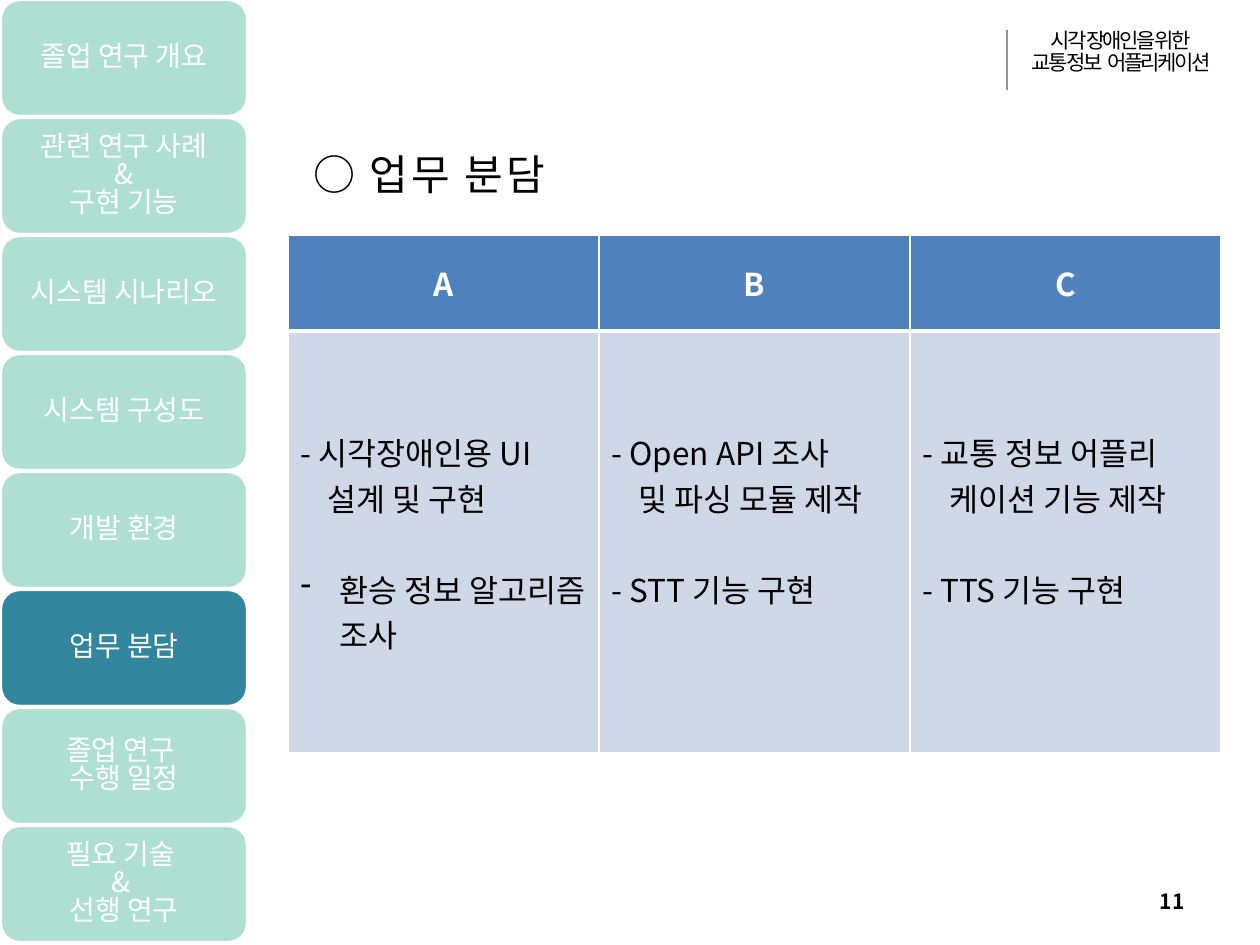
from lxml.etree import SubElement
from pptx import Presentation
from pptx.dml.color import RGBColor
from pptx.enum.shapes import MSO_CONNECTOR, MSO_SHAPE
from pptx.enum.text import MSO_ANCHOR as Anchor, PP_ALIGN as Align
from pptx.oxml import parse_xml
from pptx.oxml.ns import nsdecls, qn
from pptx.util import Pt

PX = 914400 // 126
FONT = "Noto Sans CJK KR"
WHITE, BLACK = "FFFFFF", "000000"
MINT, TEAL = "AFDFD0", "31859C"
HEADER_BLUE, BODY_BLUE = "4F81BD", "D0D8E8"

SECTIONS = [
    "졸업 연구 개요",
    "관련 연구 사례\n&\n구현 기능",
    "시스템 시나리오",
    "시스템 구성도",
    "개발 환경",
    "업무 분담",
    "졸업 연구 \n수행 일정",
    "필요 기술 \n& \n선행 연구",
]
CURRENT_SECTION = "업무 분담"

# Each line of a task list: text, left indent, first-line offset, starts a new item
TASKS = {
    "A": [("- 시각장애인용 UI", 0, 0, False), ("설계 및 구현", 27, 0, False),
          ("환승 정보 알고리즘 조사", 39, -39, True)],
    "B": [("- Open API 조사", 0, 0, False), ("및 파싱 모듈 제작", 27, 0, False),
          ("- STT 기능 구현", 0, 0, True)],
    "C": [("- 교통 정보 어플리", 0, 0, False), ("케이션 기능 제작", 27, 0, False),
          ("- TTS 기능 구현", 0, 0, True)],
}


def px(*lengths):
    return [length * PX for length in lengths]


def rgb(code):
    return RGBColor.from_string(code)


def add_run(paragraph, text, size, color=BLACK, bold=False, tracking=0):
    """Add one run; tracking is in hundredths of a point."""
    run = paragraph.add_run()
    run.text = text
    font = run.font
    font.size, font.bold = Pt(size), bold
    font.color.rgb = rgb(color)
    font.name = FONT
    properties = run._r.get_or_add_rPr()
    SubElement(properties, qn("a:ea")).set("typeface", FONT)
    if tracking:
        properties.set("spc", str(tracking))


def add_text_frame(slide, box, anchor):
    frame = slide.shapes.add_textbox(*px(*box)).text_frame
    frame.word_wrap = True
    frame.vertical_anchor = anchor
    return frame


def add_sidebar(slide, left, top, width, pitch):
    for index, section in enumerate(SECTIONS):
        tab = slide.shapes.add_shape(
            MSO_SHAPE.FLOWCHART_ALTERNATE_PROCESS,
            *px(left, top + index * pitch, width, pitch))
        tab.shadow.inherit = False
        tab.fill.solid()
        tab.fill.fore_color.rgb = rgb(TEAL if section == CURRENT_SECTION else MINT)
        tab.line.color.rgb = rgb(WHITE)
        tab.line.width = Pt(2.5)
        frame = tab.text_frame
        frame.word_wrap = True
        frame.vertical_anchor = Anchor.MIDDLE
        label = frame.paragraphs[0]
        label.alignment = Align.CENTER
        label.line_spacing = 0.83
        for number, line in enumerate(section.split("\n")):
            if number:
                label.add_line_break()
            add_run(label, line, 16, WHITE)


def add_project_name(slide, left, top, width, height):
    frame = add_text_frame(slide, (left, top, width, height), Anchor.TOP)
    lines = [[("시각 장애인을 위한", -150)],
             [("교통 정보", -150), (" ", -30), ("어플리케이션", -150)]]
    for number, line in enumerate(lines):
        paragraph = frame.add_paragraph() if number else frame.paragraphs[0]
        paragraph.alignment = Align.CENTER
        paragraph.line_spacing = 0.86
        for text, tracking in line:
            add_run(paragraph, text, 12, tracking=tracking)

    x, y1, y2 = px(left, top + 5, top + 65)
    rule = slide.shapes.add_connector(MSO_CONNECTOR.STRAIGHT, x, y1, x, y2)
    rule.line.color.rgb = rgb(BLACK)
    rule.line.width = Pt(0.75)
    properties = rule._element.spPr
    color = properties.find(".//" + qn("a:srgbClr"))
    SubElement(color, qn("a:alpha")).set("val", "66000")
    SubElement(properties, qn("a:effectLst"))


def add_title(slide, *box):
    title = add_text_frame(slide, box, Anchor.MIDDLE).paragraphs[0]
    for text, tracking in [("○", -150), (" ", 240), ("업 무", -150),
                           (" ", 240), ("분 담", -150)]:
        add_run(title, text, 24, tracking=tracking)


def style_cell(cell, fill, top=1, bottom=1):
    """Fill a cell and give it white borders, with widths in points."""
    cell.fill.solid()
    cell.fill.fore_color.rgb = rgb(fill)
    properties = cell._tc.get_or_add_tcPr()
    borders = [("L", 1), ("R", 1), ("T", top), ("B", bottom)]
    for position, (side, width) in enumerate(borders):
        properties.insert(position, parse_xml(
            f'<a:ln{side} {nsdecls("a")} w="{Pt(width)}"><a:solidFill>'
            f'<a:srgbClr val="{WHITE}"/></a:solidFill></a:ln{side}>'))


def add_task_table(slide, left, top, column_width, header_height, body_height):
    box = px(left, top, column_width * len(TASKS), header_height + body_height)
    table = slide.shapes.add_table(2, len(TASKS), *box).table
    table.first_row = table.horz_banding = False
    table.rows[0].height, table.rows[1].height = px(header_height, body_height)
    for column, (member, tasks) in enumerate(TASKS.items()):
        table.columns[column].width = column_width * PX
        header, body = table.cell(0, column), table.cell(1, column)
        style_cell(header, HEADER_BLUE, bottom=3)
        header.vertical_anchor = Anchor.MIDDLE
        heading = header.text_frame.paragraphs[0]
        heading.alignment = Align.CENTER
        add_run(heading, member, 18, WHITE, bold=True)

        style_cell(body, BODY_BLUE, top=3)
        body.margin_top = 98 * PX
        for number, (text, indent, offset, new_item) in enumerate(tasks):
            frame = body.text_frame
            line = frame.add_paragraph() if number else frame.paragraphs[0]
            if new_item:
                line.space_before = Pt(26)
            properties = line._p.get_or_add_pPr()
            properties.set("marL", str(indent * PX))
            properties.set("indent", str(offset * PX))
            if offset:
                SubElement(properties, qn("a:buChar")).set("char", "-")
            add_run(line, text, 18)


def add_page_number(slide, *box):
    number = add_text_frame(slide, box, Anchor.MIDDLE).paragraphs[0]
    number.alignment = Align.RIGHT
    add_run(number, "11", 12, bold=True)


def main():
    deck = Presentation()
    deck.slide_width, deck.slide_height = px(1260, 945)
    slide = deck.slides.add_slide(deck.slide_layouts[6])
    add_project_name(slide, 1007, 25, 228, 58)
    add_task_table(slide, 288, 235, 311, 96, 422)
    add_title(slide, 301, 142, 525, 63)
    add_sidebar(slide, 0, -1, 248, 118)
    add_page_number(slide, 903, 876, 294, 50)
    deck.save("out.pptx")


if __name__ == "__main__":
    main()
